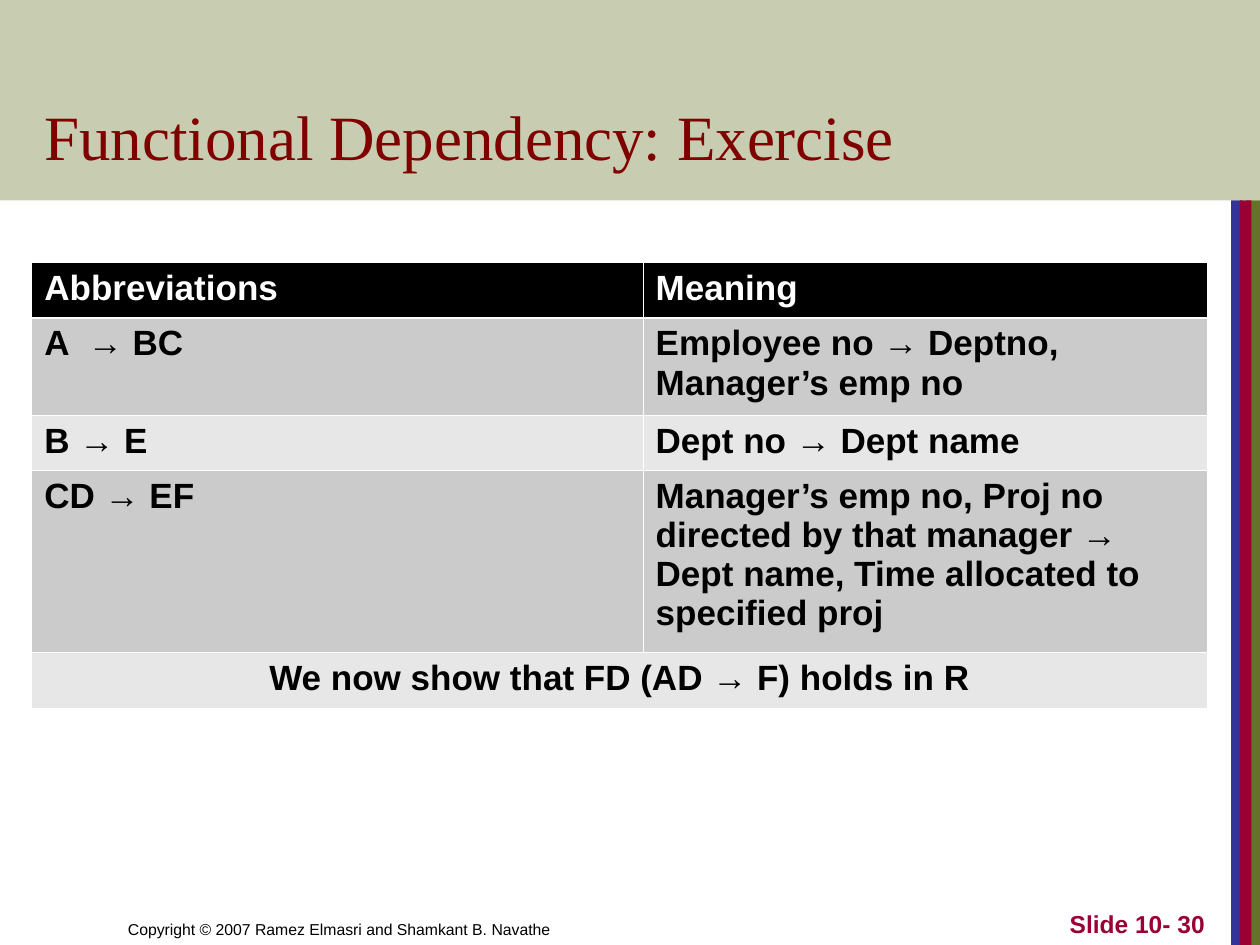
from lxml import etree
from pptx import Presentation
from pptx import util as u
from pptx.dml import color
from pptx.enum import shapes, text
from pptx.oxml import ns

COLORS = {
    "olive": "677228", "blue": "333399", "crimson": "990033",
    "maroon": "800000", "black": "000000", "white": "FFFFFF",
    "dark band": "CBCBCB", "light band": "E7E7E7",
}
WIDTH, HEIGHT, BANNER_HEIGHT = 25.4, 19.05, 4.04
ROWS = [
    ("Abbreviations", "Meaning"),
    ("A  → BC", "Employee no → Deptno, Manager’s emp no"),
    ("B → E", "Dept no → Dept name"),
    ("CD → EF", "Manager’s emp no, Proj no directed by that manager → "
                "Dept name, Time allocated to specified proj"),
    ("We now show that FD (AD → F) holds in R", ""),
]
ROW_HEIGHTS = [1.12, 1.96, 1.12, 3.66, 1.12]
COLUMN_SHARES = [0.52, 0.48]


def rgb(name):
    return color.RGBColor.from_string(COLORS[name])


def lengths(box):
    return [u.Cm(value) for value in box]


def write(frame, words, size, tint, font="Arial", bold=False,
          align=text.PP_ALIGN.LEFT):
    frame.text = words
    frame.word_wrap = True
    para = frame.paragraphs[0]
    para.alignment = align
    for span in para.runs:
        span.font.name, span.font.size = font, u.Pt(size)
        span.font.bold = bold
        span.font.color.rgb = rgb(tint)


def add_block(page, box, tint, opacity=None):
    """Add a plain filled rectangle, opacity in percent."""
    block = page.shapes.add_shape(shapes.MSO_SHAPE.RECTANGLE, *lengths(box))
    block.shadow.inherit = False
    block.line.fill.background()
    block.fill.solid()
    block.fill.fore_color.rgb = rgb(tint)
    if opacity:
        shade = block.fill._xPr.find(".//" + ns.qn("a:srgbClr"))
        etree.SubElement(shade, ns.qn("a:alpha"), val=str(opacity * 1000))


def add_stripes(page, box):
    """Add three upright stripes that overlap slightly."""
    left, top, width, height = box
    for offset, share, tint in [(0.52, 0.48, "olive"), (0, 0.4, "blue"),
                                (0.3, 0.4, "crimson")]:
        add_block(page, (left + offset * width, top, share * width, height), tint)


def add_heading(page, box):
    left, top, width, height = box
    add_block(page, box, "olive", opacity=36)
    title = page.shapes.title
    title.left, title.top, title.width, title.height = lengths(
        (left + 0.64, top + 0.84, 21.67, 2.77))
    write(title.text_frame, "Functional Dependency: Exercise", 36, "maroon",
          "Times New Roman")
    title.text_frame.vertical_anchor = text.MSO_ANCHOR.BOTTOM
    page.shapes._spTree.append(title._element)  # bring in front of the banner


def add_footer(page, box):
    left, top, width, height = box
    for offset, part, words, size, tint, bold, align in [
            (0, 12.5, "Copyright © 2007 Ramez Elmasri and Shamkant B. Navathe",
             9, "black", False, text.PP_ALIGN.LEFT),
            (width - 5.28, 5.28, "Slide 10- 30",
             14, "crimson", True, text.PP_ALIGN.RIGHT)]:
        frame = page.shapes.add_textbox(
            *lengths((left + offset, top, part, height))).text_frame
        write(frame, words, size, tint, bold=bold, align=align)
        frame.vertical_anchor = text.MSO_ANCHOR.BOTTOM


def set_borders(cell, widths):
    """Put white borders before the cell's fill, widths in points by side."""
    props = cell._tc.get_or_add_tcPr()
    for place, (side, points) in enumerate(widths.items()):
        line = etree.Element(ns.qn(f"a:ln{side}"), w=str(u.Pt(points)))
        fill = etree.SubElement(line, ns.qn("a:solidFill"))
        etree.SubElement(fill, ns.qn("a:srgbClr"), val=COLORS["white"])
        props.insert(place, line)


def add_dependencies(page, box):
    table = page.shapes.add_table(
        len(ROWS), len(COLUMN_SHARES), *lengths(box)).table
    for column, share in zip(table.columns, COLUMN_SHARES):
        column.width = u.Cm(box[2] * share)
    last = len(ROWS) - 1
    for r, (words, height) in enumerate(zip(ROWS, ROW_HEIGHTS)):
        table.rows[r].height = u.Cm(height)
        band = "black" if r == 0 else "dark band" if r % 2 else "light band"
        for c, entry in enumerate(words):
            cell = table.cell(r, c)
            write(cell.text_frame, entry, 20, "black" if r else "white", bold=True,
                  align=text.PP_ALIGN.CENTER if r == last else text.PP_ALIGN.LEFT)
            cell.fill.solid()
            cell.fill.fore_color.rgb = rgb(band)
            set_borders(cell, {"L": 0.45, "R": 0.45,
                               "T": 1.47 if r == 1 else 0.45,
                               "B": 1.47 if r == 0 else 0.45})
    table.cell(last, 0).merge(table.cell(last, 1))


def main():
    deck = Presentation()
    deck.slide_width, deck.slide_height = u.Cm(WIDTH), u.Cm(HEIGHT)
    page = deck.slides.add_slide(deck.slide_layouts[5])
    add_stripes(page, (24.82, BANNER_HEIGHT, 0.58, HEIGHT - BANNER_HEIGHT))
    add_heading(page, (0, 0, WIDTH, BANNER_HEIGHT))
    add_footer(page, (2.33, 17.78, 22.21, 1.27))
    add_dependencies(page, (0.64, 5.29, 23.7, sum(ROW_HEIGHTS)))
    deck.save("out.pptx")


if __name__ == "__main__":
    main()
